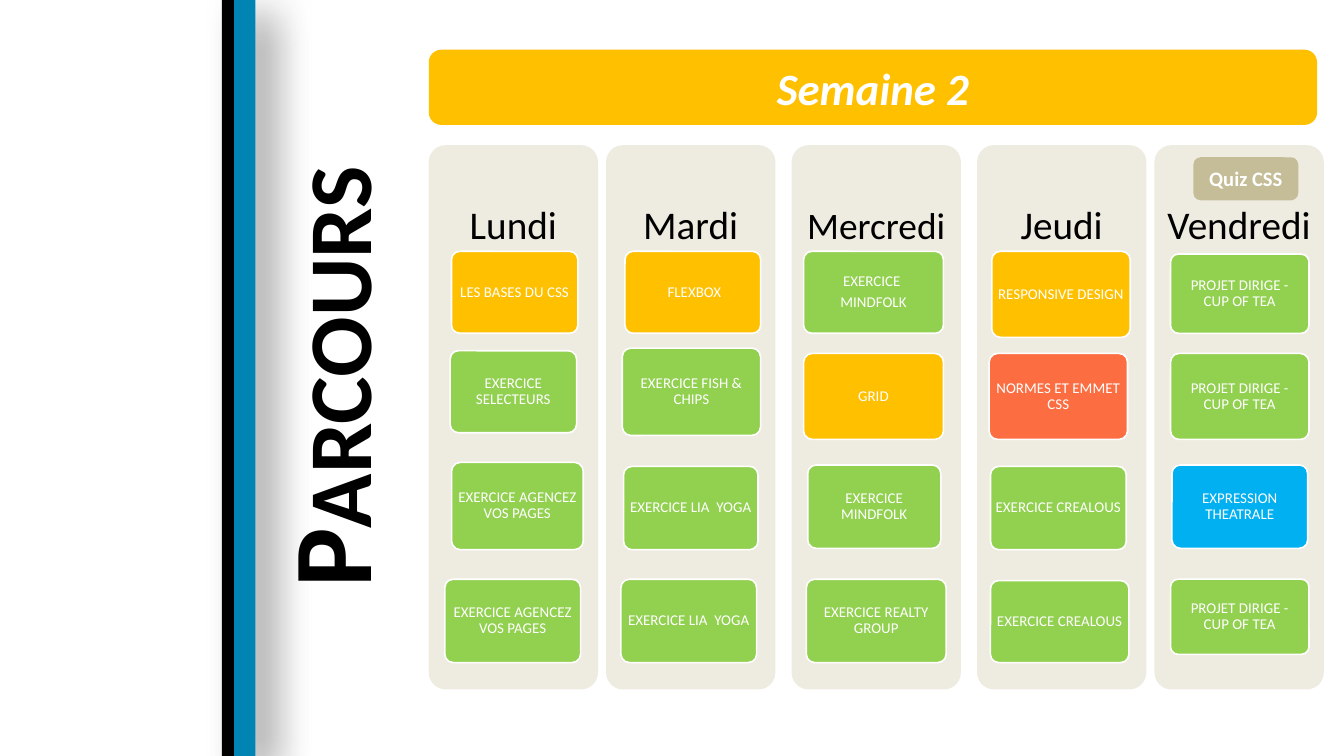
from dataclasses import dataclass

from lxml.etree import SubElement
from pptx import Presentation
from pptx.dml.color import RGBColor
from pptx.enum.shapes import MSO_SHAPE
from pptx.enum.text import MSO_ANCHOR, PP_ALIGN
from pptx.oxml.ns import qn
from pptx.util import Inches, Pt


@dataclass(frozen=True)
class Theme:
    font: str = "Calibri"
    black: str = "000000"
    white: str = "FFFFFF"
    blue: str = "0084B4"
    shadow: str = "333333"
    column: str = "EEECE1"
    quiz: str = "C4BD97"
    course: str = "FFC000"
    exercise: str = "92D050"
    standards: str = "FC6E42"
    theatre: str = "00B0F0"
    title_size: int = 60
    week_size: int = 24
    day_size: int = 21
    long_day_size: int = 20
    quiz_size: int = 11
    card_size: int = 8


THEME = Theme()
COLUMN_TOP, COLUMN_WIDTH, COLUMN_HEIGHT = 1.08, 1.26, 4.05


@dataclass(frozen=True)
class Day:
    name: str
    left: float
    cards: tuple  # (text, colour, left, top, width, height)
    size: int = THEME.day_size
    card_margin: float = 0.02


DAYS = (
    Day("Lundi", 3.19, (
        ("LES BASES DU CSS", THEME.course, 3.36, 1.87, 0.94, 0.61),
        ("EXERCICE SELECTEURS", THEME.exercise, 3.35, 2.61, 0.94, 0.61),
        ("EXERCICE AGENCEZ VOS PAGES", THEME.exercise, 3.36, 3.44, 0.98, 0.65),
        ("EXERCICE AGENCEZ VOS PAGES", THEME.exercise, 3.31, 4.31, 1.01, 0.62),
    )),
    Day("Mardi", 4.51, (
        (" FLEXBOX", THEME.course, 4.65, 1.87, 1.01, 0.61),
        ("EXERCICE FISH & CHIPS", THEME.exercise, 4.63, 2.59, 1.03, 0.65),
        ("EXERCICE LIA  YOGA", THEME.exercise, 4.64, 3.47, 1, 0.62),
        ("EXERCICE LIA  YOGA", THEME.exercise, 4.62, 4.31, 1.01, 0.62),
    )),
    Day("Mercredi", 5.89, (
        ("EXERCICE \nMINDFOLK", THEME.exercise, 5.98, 1.87, 1.04, 0.61),
        ("GRID", THEME.course, 5.98, 2.63, 1.04, 0.64),
        ("EXERCICE MINDFOLK", THEME.exercise, 6.01, 3.46, 0.99, 0.62),
        ("EXERCICE REALTY GROUP", THEME.exercise, 6, 4.31, 1.04, 0.62),
    ), size=THEME.long_day_size),
    Day("Jeudi", 7.27, (
        ("RESPONSIVE DESIGN", THEME.course, 7.38, 1.87, 1.03, 0.64),
        ("NORMES ET EMMET CSS", THEME.standards, 7.36, 2.63, 1.03, 0.64),
        ("EXERCICE CREALOUS", THEME.exercise, 7.37, 3.47, 1.01, 0.62),
        ("EXERCICE CREALOUS", THEME.exercise, 7.37, 4.32, 1.03, 0.61),
    )),
    Day("Vendredi", 8.59, (
        ("PROJET DIRIGE - CUP OF TEA", THEME.exercise, 8.71, 1.89, 1.03, 0.59),
        ("PROJET DIRIGE - CUP OF TEA", THEME.exercise, 8.71, 2.63, 1.03, 0.64),
        ("EXPRESSION THEATRALE", THEME.theatre, 8.72, 3.46, 1.01, 0.62),
        ("PROJET DIRIGE - CUP OF TEA", THEME.exercise, 8.71, 4.31, 1.03, 0.56),
    ), card_margin=0.04),
)


def apply_format(target, values):
    for name, value in values.items():
        setattr(target, name, value)


def add_block(slide, kind, place, color, corner=None, outline=None):
    """Add a filled preset shape without a shadow."""
    block = slide.shapes.add_shape(kind, *map(Inches, place))
    block.shadow.inherit = False
    block.fill.solid()
    block.fill.fore_color.rgb = RGBColor.from_string(color)
    if outline:
        block.line.color.rgb = RGBColor.from_string(outline)
        block.line.width = Pt(0.85)
    else:
        block.line.fill.background()
    if corner is not None:
        block.adjustments[0] = corner
    return block


def write_text(box, text, color, size, margins=None, spacing=1.0, wrap=True, **font):
    """Write one centred paragraph for each line of text."""
    frame = box.text_frame
    apply_format(frame, {"word_wrap": wrap, "vertical_anchor": MSO_ANCHOR.MIDDLE})
    for side, margin in (margins or {}).items():
        setattr(frame, f"margin_{side}", Inches(margin))
    for index, line in enumerate(text.split("\n")):
        para = frame.add_paragraph() if index else frame.paragraphs[0]
        apply_format(para, {"alignment": PP_ALIGN.CENTER, "line_spacing": spacing})
        if index:
            para.space_before = Pt(0.35 * size)
        span = para.add_run()
        span.text = line
        apply_format(span.font, {"name": THEME.font, "size": Pt(size), **font})
        span.font.color.rgb = RGBColor.from_string(color)


def add_soft_shadow(block):
    effects = block.element.spPr.find(qn("a:effectLst"))
    shadow = SubElement(effects, qn("a:outerShdw"), blurRad=str(Pt(23)),
                        dist=str(Pt(11)), dir=str(45 * 60000), algn="tl", rotWithShape="0")
    color = SubElement(shadow, qn("a:srgbClr"), val=THEME.shadow)
    SubElement(color, qn("a:alpha"), val="65000")


def add_side_bars(slide):
    blue_bar = add_block(slide, MSO_SHAPE.RECTANGLE, (1.73, 0, 0.17, 5.64), THEME.blue)
    add_soft_shadow(blue_bar)
    add_block(slide, MSO_SHAPE.RECTANGLE, (1.65, 0, 0.09, 5.64), THEME.black)


def place_title(slide, text):
    title = slide.shapes.title
    apply_format(title, {"left": Inches(-0.4), "top": Inches(2.25),
                         "width": Inches(5.66), "height": Inches(1.11), "rotation": 270})
    write_text(title, text, THEME.black, THEME.title_size, bold=True)
    span = title.text_frame.paragraphs[0].runs[0]
    span._r.get_or_add_rPr().set("cap", "small")


def add_label(slide, place, color, text, size, **options):
    label = add_block(slide, MSO_SHAPE.ROUNDED_RECTANGLE, place, color)
    write_text(label, text, THEME.white, size, bold=True, **options)


def add_day(slide, day):
    # Column with its heading
    place = (day.left, COLUMN_TOP, COLUMN_WIDTH, COLUMN_HEIGHT)
    column = add_block(slide, MSO_SHAPE.ROUNDED_RECTANGLE, place, THEME.column, corner=0.1)
    margins = {"left": 0.05, "top": 0.05, "right": 0.05, "bottom": 2.88}
    write_text(column, day.name, THEME.black, day.size, margins, spacing=0.9)

    # Activity cards
    margins = dict.fromkeys(("left", "right"), day.card_margin)
    margins.update(top=0.02, bottom=0.02)
    for text, color, *place in day.cards:
        card = add_block(slide, MSO_SHAPE.ROUNDED_RECTANGLE, place, color,
                         corner=0.1, outline=THEME.white)
        write_text(card, text, THEME.white, THEME.card_size, margins, spacing=0.9)


def main():
    # Wide 16:9 page
    deck = Presentation()
    deck.slide_width = Inches(10)
    deck.slide_height = deck.slide_width * 9 // 16
    page = deck.slides.add_slide(deck.slide_layouts[5])

    # Side decoration and title
    add_side_bars(page)
    place_title(page, "Parcours")

    # Week schedule
    add_label(page, (3.19, 0.37, 6.61, 0.56), THEME.course,
              "Semaine 2", THEME.week_size, italic=True)
    for day in DAYS:
        add_day(page, day)
    add_label(page, (8.88, 1.17, 0.78, 0.32), THEME.quiz,
              "Quiz CSS", THEME.quiz_size, wrap=False)

    deck.save("out.pptx")


if __name__ == "__main__":
    main()
